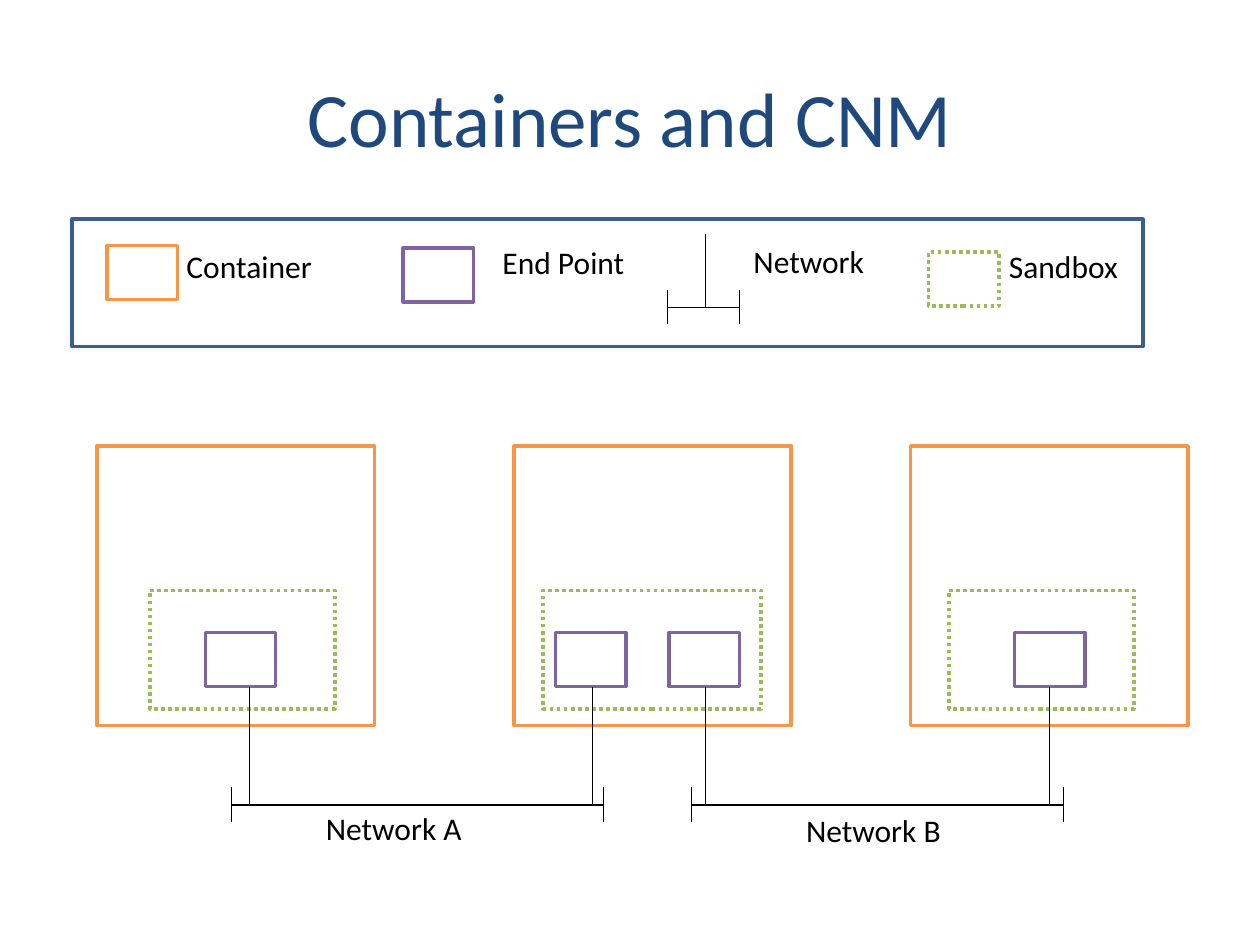
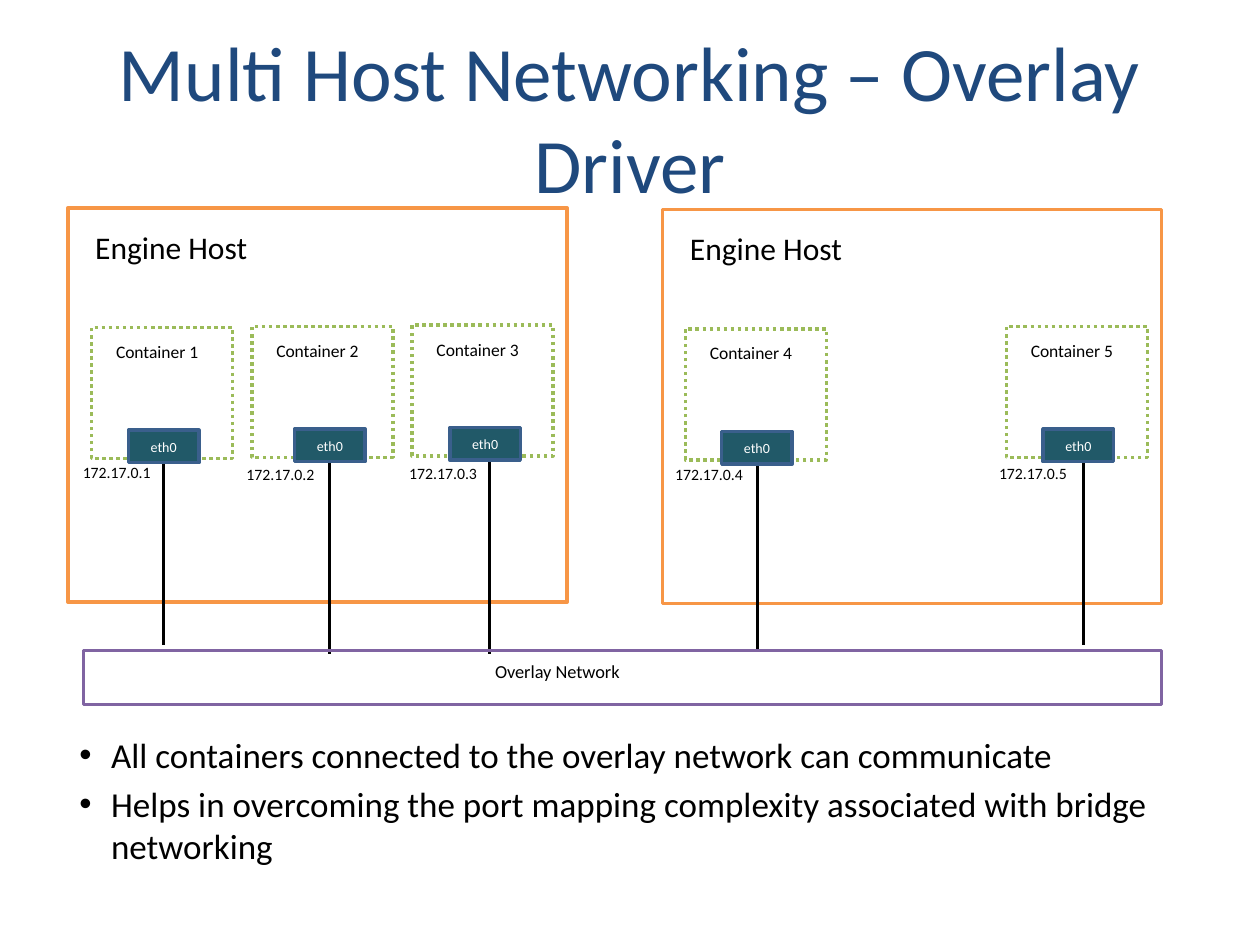
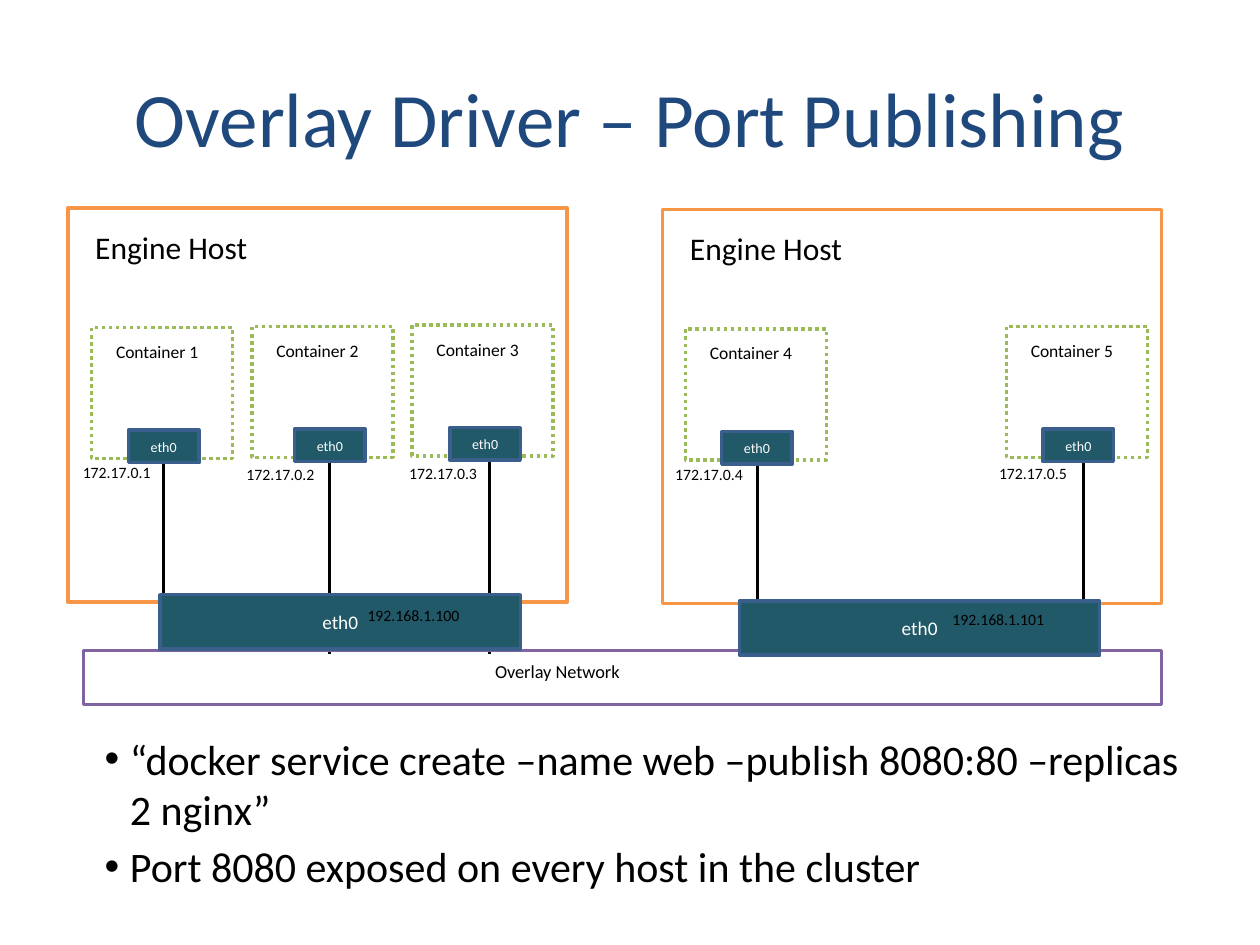
from dataclasses import dataclass

from lxml import etree
from pptx import Presentation
from pptx import util as u
from pptx.dml.color import RGBColor
from pptx.enum import dml, shapes, text
from pptx.oxml.ns import qn


@dataclass(frozen=True)
class Theme:
    font: str = "Calibri"
    title: str = "1F497D"
    ink: str = "000000"
    white: str = "FFFFFF"
    frame: str = "3A5F8C"
    orange: str = "F79646"
    purple: str = "8064A2"
    green: str = "9BBB59"
    teal: str = "215968"
    title_size: float = 44
    label_size: float = 18
    overlay_bullet_size: float = 20
    publishing_bullet_size: float = 24
    gateway_size: float = 11
    overlay_size: float = 10.5
    small_size: float = 10
    address_size: float = 9
    port_size: float = 8
    outline: float = 2
    wire: float = 1.75
    thin: float = 0.75


SWATCH = (1.42, 1.09)
CONTAINER = (5.59, 5.64)
HOST = (10.06, 7.95)
NODE = (2.84, 2.64)
PORT = (1.42, 0.66)
GATEWAY = (7.26, 1.09)

HOSTS = [(1.37, 4.19), (13.36, 4.22)]
NODES = [
    (1.85, 6.6, 2.59, 3.3, 13, 1.42, 9.2),
    (5.08, 6.58, 5.94, 6.65, 13.18, 4.72, 9.25),
    (8.31, 6.55, 9.07, 9.86, 13.18, 8, 9.22),
    (13.82, 6.63, 14.55, 15.27, 13.11, 13.36, 9.25),
    (20.29, 6.58, 21.03, 21.84, 13, 19.89, 9.22),
]


class Deck:
    def __init__(self, theme):
        self.t = theme
        self.prs = Presentation()
        self.prs.slide_width, self.prs.slide_height = u.Cm(25.4), u.Cm(19.05)
        self.s = None

    def style(self, p, size, color):
        for r in p.runs:
            r.font.name = self.t.font
            r.font.size = u.Pt(size)
            r.font.color.rgb = RGBColor.from_string(color)

    def slide(self, title):
        self.s = self.prs.slides.add_slide(self.prs.slide_layouts[6])
        tf = self.area(1.27, 0.76, 22.86, 3.18)
        tf.vertical_anchor = text.MSO_ANCHOR.MIDDLE
        p = tf.paragraphs[0]
        p.text = title
        p.alignment = text.PP_ALIGN.CENTER
        self.style(p, self.t.title_size, self.t.title)

    def area(self, x, y, w, h):
        tf = self.s.shapes.add_textbox(*map(u.Cm, (x, y, w, h))).text_frame
        tf.word_wrap = True
        tf.margin_left = tf.margin_right = u.Cm(0.33)
        tf.margin_top = tf.margin_bottom = u.Cm(0.18)
        return tf

    def bullets(self, items, size, left, hang):
        tf = self.area(1.27, 14.6, 22.86, 2.41)
        for i, item in enumerate(items):
            p = tf.add_paragraph() if i else tf.paragraphs[0]
            p.text = item
            pPr = p._p.get_or_add_pPr()
            pPr.set("marL", str(u.Cm(left)))
            pPr.set("indent", str(-u.Cm(hang)))
            etree.SubElement(pPr, qn("a:buFont")).set("typeface", "Arial")
            etree.SubElement(pPr, qn("a:buChar")).set("char", "•")
            if i:
                p.space_before = u.Pt(4)
            self.style(p, size, self.t.ink)

    def label(self, words, x, y, w, h, size, wrap=False):
        tf = self.s.shapes.add_textbox(*map(u.Cm, (x, y, w, h))).text_frame
        tf.word_wrap = wrap
        tf.auto_size = text.MSO_AUTO_SIZE.SHAPE_TO_FIT_TEXT
        tf.text = words
        self.style(tf.paragraphs[0], size, self.t.ink)

    def box(self, x, y, w, h, color, fill=None, dotted=False):
        sp = self.s.shapes.add_shape(
            shapes.MSO_SHAPE.RECTANGLE, *map(u.Cm, (x, y, w, h)))
        sp.shadow.inherit = False
        if fill:
            sp.fill.solid()
            sp.fill.fore_color.rgb = RGBColor.from_string(fill)
        else:
            sp.fill.background()
        sp.line.color.rgb = RGBColor.from_string(color)
        sp.line.width = u.Pt(self.t.outline)
        if dotted:
            sp.line.dash_style = dml.MSO_LINE.ROUND_DOT
        return sp

    def interface(self, x, y, w, h, size):
        tf = self.box(x, y, w, h, self.t.frame, self.t.teal).text_frame
        tf.text = "eth0"
        tf.vertical_anchor = text.MSO_ANCHOR.MIDDLE
        p = tf.paragraphs[0]
        p.alignment = text.PP_ALIGN.CENTER
        self.style(p, size, self.t.white)

    def line(self, x1, y1, x2, y2, width):
        c = self.s.shapes.add_connector(
            shapes.MSO_CONNECTOR.STRAIGHT, *map(u.Cm, (x1, y1, x2, y2)))
        c.line.color.rgb = RGBColor.from_string(self.t.ink)
        c.line.width = u.Pt(width)
        etree.SubElement(c._element.spPr, qn("a:effectLst"))

    def network(self, left, right, y, taps, top):
        self.line(left, y, right, y, self.t.thin)
        for x in (left, right):
            self.line(x, y - 0.36, x, y + 0.34, self.t.thin)
        for x in taps:
            self.line(x, top, x, y, self.t.thin)

    def overlay(self):
        t = self.t
        for x, y in HOSTS:
            self.box(x, y, *HOST, t.orange)
            self.label("Engine Host", x + 0.3, y + 0.28, 3.68, 1.02, t.label_size)
        for n, (x, y, port_x, wire_x, wire_end, ip_x, ip_y) in enumerate(NODES, 1):
            self.box(x, y, *NODE, t.green, dotted=True)
            self.label(f"Container {n}", x + 0.24, y + 0.15, 2.21, 0.69, t.small_size)
            self.line(wire_x, 9.25, wire_x, wire_end, t.wire)
            self.interface(port_x, y + 2.07, *PORT, t.port_size)
            self.label(f"172.17.0.{n}", ip_x, ip_y, 1.88, 0.64, t.address_size)
        self.box(1.68, 13.11, 21.74, 1.09, t.purple)
        self.label("Overlay Network", 9.73, 13.18, 4.6, 0.71, t.overlay_size, wrap=True)


def containers_slide(d):
    t = d.t
    d.slide("Containers and CNM")
    d.box(1.45, 4.42, 21.59, 2.57, t.frame)
    d.box(2.16, 4.95, *SWATCH, t.orange)
    d.box(8.13, 5, *SWATCH, t.purple)
    d.box(18.72, 5.08, *SWATCH, t.green, dotted=True)
    d.network(13.46, 14.91, 6.2, [14.22], 4.72)

    for x in (1.96, 10.36, 18.36):
        d.box(x, 8.99, *CONTAINER, t.orange)
    for x in (4.14, 11.2, 13.49, 20.45):
        d.box(x, 12.75, *SWATCH, t.purple)
    for x, w in ((3.02, 3.73), (10.95, 4.39), (19.13, 3.73)):
        d.box(x, 11.9, w, 2.39, t.green, dotted=True)
    d.network(4.67, 12.17, 16.23, [5.03, 11.94], 13.84)
    d.network(13.94, 21.44, 16.23, [14.22, 21.16], 13.84)

    for words, x, y, w in (
        ("Container", 3.51, 4.85, 3.07),
        ("End Point", 9.88, 4.78, 3),
        ("Network", 14.94, 4.75, 2.77),
        ("Sandbox", 20.09, 4.85, 2.74),
        ("Network A", 6.32, 16.18, 3.28),
        ("Network B", 16, 16.23, 3.25),
    ):
        d.label(words, x, y, w, 1.02, t.label_size)


def overlay_slide(d):
    d.slide("Multi Host Networking – Overlay Driver")
    d.overlay()
    d.bullets([
        "All containers connected to the overlay network can communicate",
        "Helps in overcoming the port mapping complexity associated with bridge networking",
    ], d.t.overlay_bullet_size, 0.64, 0.64)


def publishing_slide(d):
    d.slide("Overlay Driver – Port Publishing")
    d.overlay()
    for x, y, address, ip_x, ip_y in (
        (3.23, 11.99, "192.168.1.100", 7.16, 12.09),
        (14.91, 12.12, "192.168.1.101", 18.95, 12.17),
    ):
        d.interface(x, y, *GATEWAY, d.t.gateway_size)
        d.label(address, ip_x, ip_y, 2.36, 0.64, d.t.address_size)
    d.bullets([
        "“docker service create –name web –publish 8080:80 –replicas 2 nginx”",
        "Port 8080 exposed on every host in the cluster",
    ], d.t.publishing_bullet_size, 1.02, 0.51)


def main():
    d = Deck(Theme())
    containers_slide(d)
    overlay_slide(d)
    publishing_slide(d)
    d.prs.save("out.pptx")


if __name__ == "__main__":
    main()
